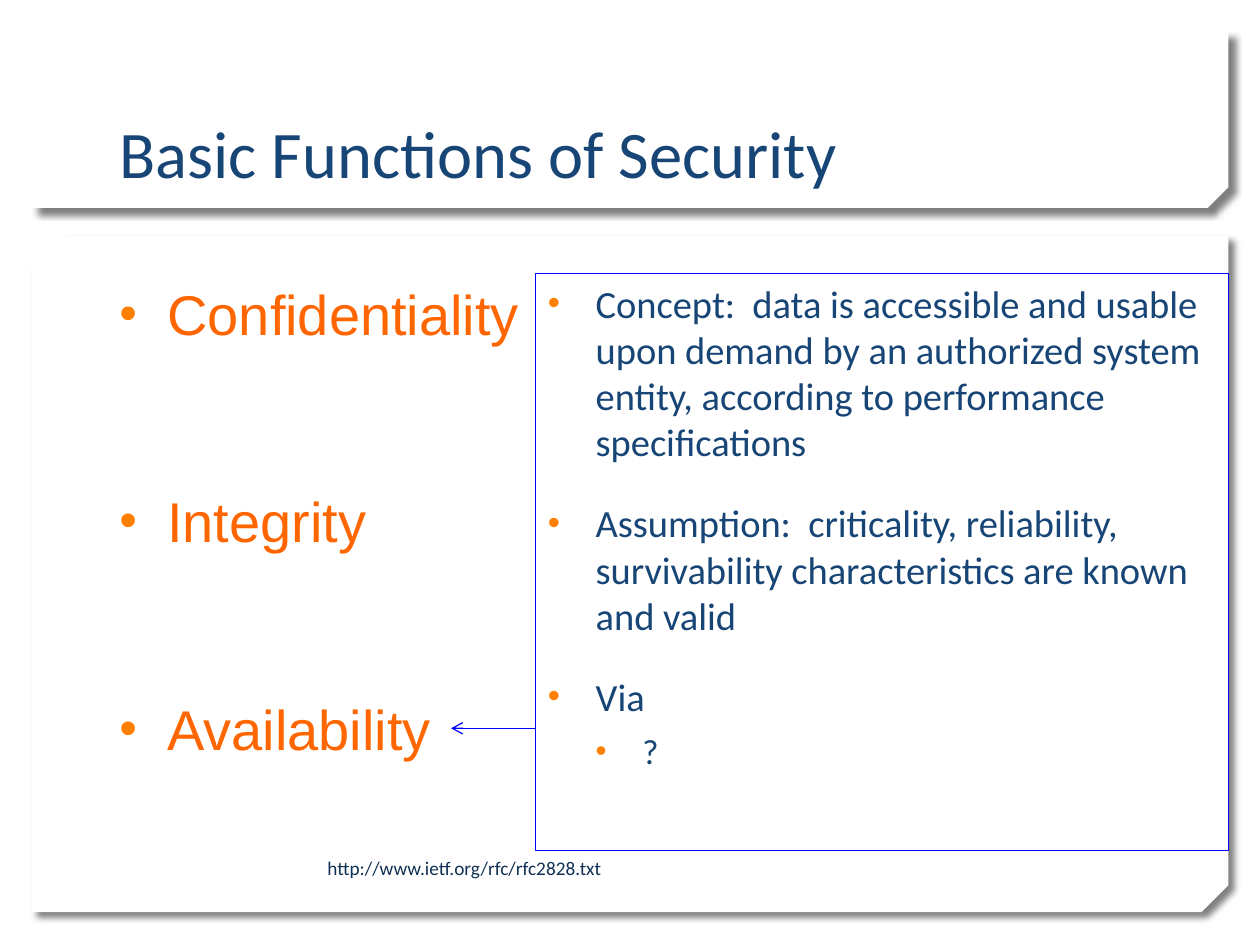
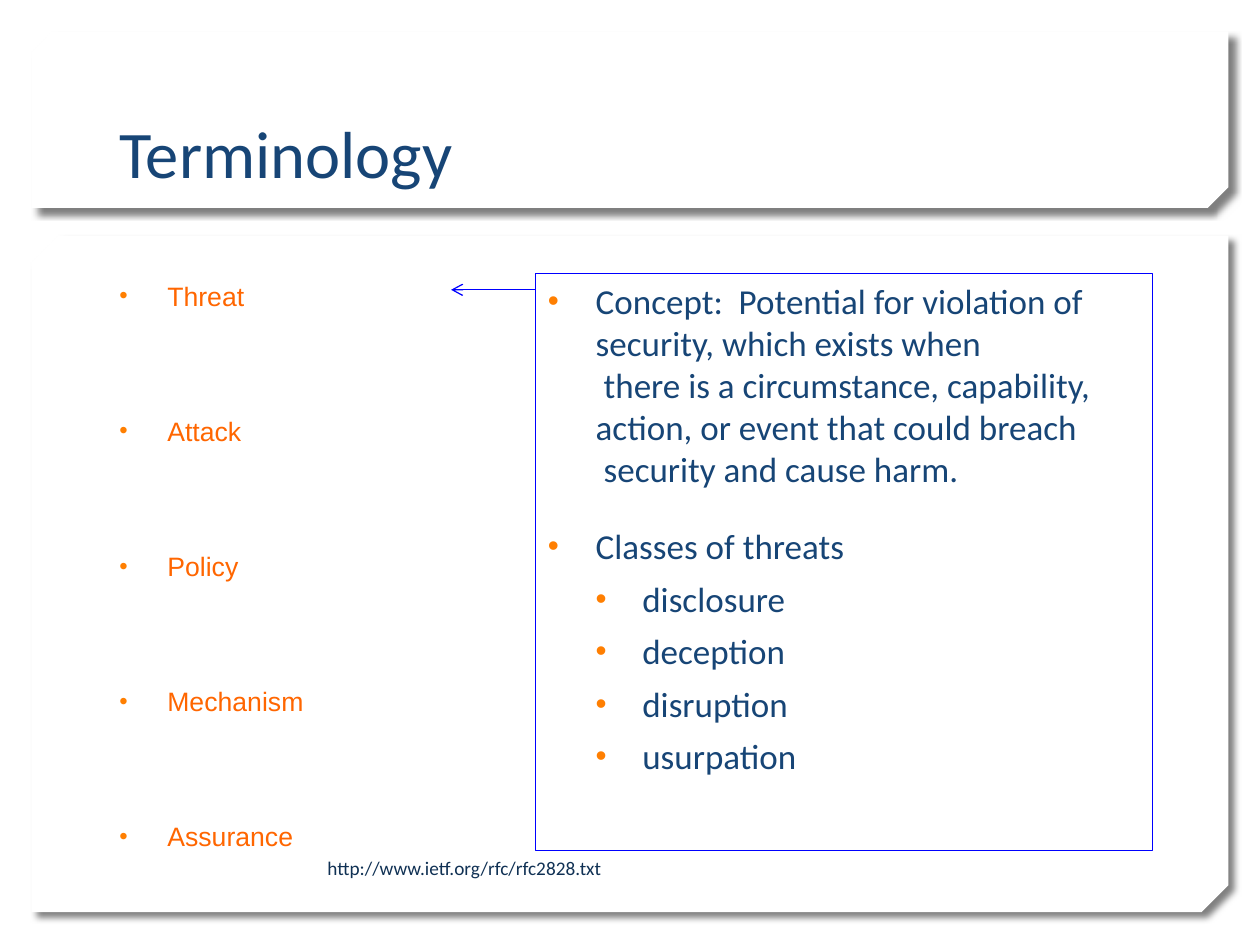
"""Build two security lecture slides: basic functions and terminology."""
from dataclasses import dataclass
from typing import Any

import lxml.etree
import pptx
import pptx.dml.color
import pptx.enum.shapes
import pptx.enum.text
import pptx.oxml
import pptx.oxml.ns
import pptx.util

Inches = pptx.util.Inches
Pt = pptx.util.Pt
qn = pptx.oxml.ns.qn
SHAPES = pptx.enum.shapes.MSO_SHAPE
ANCHOR = pptx.enum.text.MSO_ANCHOR

COLOURS = {
    "paper": "FFFFFF",
    "shadow": "000000",
    "ink": "174576",
    "footer": "103154",
    "term": "FF6600",
    "bullet": "FF7F01",
    "rule": "0000FF",
}
RULE_WIDTH = Pt(0.75)
PANEL_LEFT, PANEL_TOP, PANEL_HEIGHT = 4.25, 2.17, 4.58
ARROW_TIP = 3.58
FOOTER = "http://www.ietf.org/rfc/rfc2828.txt"
INDENTS = ((0.38, -0.38), (0.75, -0.37))


@dataclass(frozen=True)
class Band:
    top: float
    height: float
    snip: float


@dataclass(frozen=True)
class TextStyle:
    font: str
    size: float
    colour: str


@dataclass(frozen=True)
class Item:
    text: str
    size: float
    level: int = 0
    gap: float = 20


@dataclass(frozen=True)
class Lesson:
    title: str
    terms: tuple[str, ...]
    term_size: float
    term_gap: float
    panel_width: float
    items: tuple[Item, ...]
    arrow_y: float


BANDS = (Band(1.87, 5.37, 0.04), Band(0.25, 1.4, 0.117))
TITLE_STYLE = TextStyle("Calibri", 38, "ink")
FOOTER_STYLE = TextStyle("Calibri", 11, "footer")

LESSONS = (
    Lesson(
        "Basic Functions of Security",
        ("Confidentiality", "Integrity", "Availability"),
        32, 80, 5.5,
        (
            Item("Concept:  data is accessible and usable upon demand by an authorized "
                 "system entity, according to performance specifications", 22),
            Item("Assumption:  criticality, reliability, survivability characteristics "
                 "are known and valid", 22),
            Item("Via", 22),
            Item("?", 20, 1, 6),
        ),
        5.78,
    ),
    Lesson(
        "Terminology",
        ("Threat", "Attack", "Policy", "Mechanism", "Assurance"),
        15.2, 59, 4.9,
        (
            Item("Concept:  Potential for violation of security, which exists when\v"
                 " there is a circumstance, capability, action, or event that could breach\v"
                 " security and cause harm.", 20),
            Item("Classes of threats", 20),
            *(Item(threat, 20, 1, 6)
              for threat in ("disclosure", "deception", "disruption", "usurpation")),
        ),
        2.3,
    ),
)


def rgb(name: str) -> pptx.dml.color.RGBColor:
    return pptx.dml.color.RGBColor.from_string(COLOURS[name])


def apply_format(target: Any, values: dict[str, Any]) -> None:
    for name, value in values.items():
        setattr(target, name, value)


def add_element(parent: Any, tag: str, **attributes: str) -> Any:
    return lxml.etree.SubElement(parent, qn(tag), attributes)


def write(para: Any, text: str, style: TextStyle) -> None:
    para.text = text
    for span in para.runs:
        apply_format(span.font, {"name": style.font, "size": Pt(style.size)})
        span.font.color.rgb = rgb(style.colour)


def write_bullets(box: Any, items: tuple[Item, ...], font: str, colour: str) -> None:
    frame = box.text_frame
    apply_format(frame, {"word_wrap": True, "vertical_anchor": ANCHOR.TOP})
    for index, item in enumerate(items):
        para = frame.add_paragraph() if index else frame.paragraphs[0]
        write(para, item.text, TextStyle(font, item.size, colour))
        apply_format(para, {
            "level": item.level,
            "alignment": pptx.enum.text.PP_ALIGN.LEFT,
            "space_before": Pt(item.gap if index else 0),
        })
        margin, hanging = INDENTS[item.level]
        properties = para._p.get_or_add_pPr()
        properties.set("marL", str(Inches(margin)))
        properties.set("indent", str(Inches(hanging)))
        bullet_colour = add_element(properties, "a:buClr")
        add_element(bullet_colour, "a:srgbClr", val=COLOURS["bullet"])
        add_element(properties, "a:buSzPct", val="90000")
        add_element(properties, "a:buFont", typeface="Arial")
        add_element(properties, "a:buChar", char="•")


def add_band(page: Any, band: Band) -> None:
    shape = page.shapes.add_shape(
        SHAPES.SNIP_2_DIAG_RECTANGLE,
        Inches(0.25), Inches(band.top), Inches(9.5), Inches(band.height))
    shape.adjustments[0] = 0
    shape.adjustments[1] = band.snip
    shape.fill.solid()
    shape.fill.fore_color.rgb = rgb("paper")
    shape.line.fill.background()
    shape.shadow.inherit = False
    properties = shape._element.spPr
    properties.find(qn("a:xfrm")).set("flipV", "1")
    shadow = add_element(
        properties.find(qn("a:effectLst")), "a:outerShdw",
        blurRad=str(Pt(4)), dist=str(Pt(5)), dir=str(45 * 60000),
        algn="tl", rotWithShape="0")
    shade = add_element(shadow, "a:srgbClr", val=COLOURS["shadow"])
    add_element(shade, "a:alpha", val="50000")


def add_label(page: Any, place: tuple[float, ...], text: str,
              style: TextStyle, anchor: Any) -> None:
    box = page.shapes.add_textbox(*map(Inches, place))
    apply_format(box.text_frame, {"word_wrap": True, "vertical_anchor": anchor})
    write(box.text_frame.paragraphs[0], text, style)


def add_panel(page: Any, lesson: Lesson) -> None:
    panel = page.shapes.add_shape(
        SHAPES.RECTANGLE, Inches(PANEL_LEFT), Inches(PANEL_TOP),
        Inches(lesson.panel_width), Inches(PANEL_HEIGHT))
    panel.shadow.inherit = False
    panel.fill.background()
    panel.line.color.rgb = rgb("rule")
    panel.line.width = RULE_WIDTH
    write_bullets(panel, lesson.items, "Calibri", "ink")


def add_arrow(page: Any, height: float) -> None:
    arrow = page.shapes.add_connector(
        pptx.enum.shapes.MSO_CONNECTOR.STRAIGHT,
        Inches(PANEL_LEFT), Inches(height), Inches(ARROW_TIP), Inches(height))
    arrow.line.color.rgb = rgb("rule")
    arrow.line.width = RULE_WIDTH
    properties = arrow._element.spPr
    add_element(properties.find(qn("a:ln")), "a:tailEnd", type="arrow")
    add_element(properties, "a:effectLst")


def add_lesson(deck: Any, lesson: Lesson) -> None:
    page = deck.slides.add_slide(deck.slide_layouts[6])
    for band in BANDS:
        add_band(page, band)
    add_label(page, (0.85, 0.32, 8.29, 1.25), lesson.title, TITLE_STYLE, ANCHOR.BOTTOM)
    terms = page.shapes.add_textbox(
        Inches(0.85), Inches(PANEL_TOP), Inches(4), Inches(4.35))
    term_items = tuple(
        Item(term, lesson.term_size, gap=lesson.term_gap) for term in lesson.terms)
    write_bullets(terms, term_items, "Arial", "term")
    add_panel(page, lesson)
    add_label(page, (2.5, 6.75, 7.5, 0.29), FOOTER, FOOTER_STYLE, ANCHOR.TOP)
    add_arrow(page, lesson.arrow_y)


def main() -> None:
    deck = pptx.Presentation()
    apply_format(deck, {"slide_width": Inches(10), "slide_height": Inches(7.5)})
    for lesson in LESSONS:
        add_lesson(deck, lesson)
    deck.save("out.pptx")


if __name__ == "__main__":
    main()
